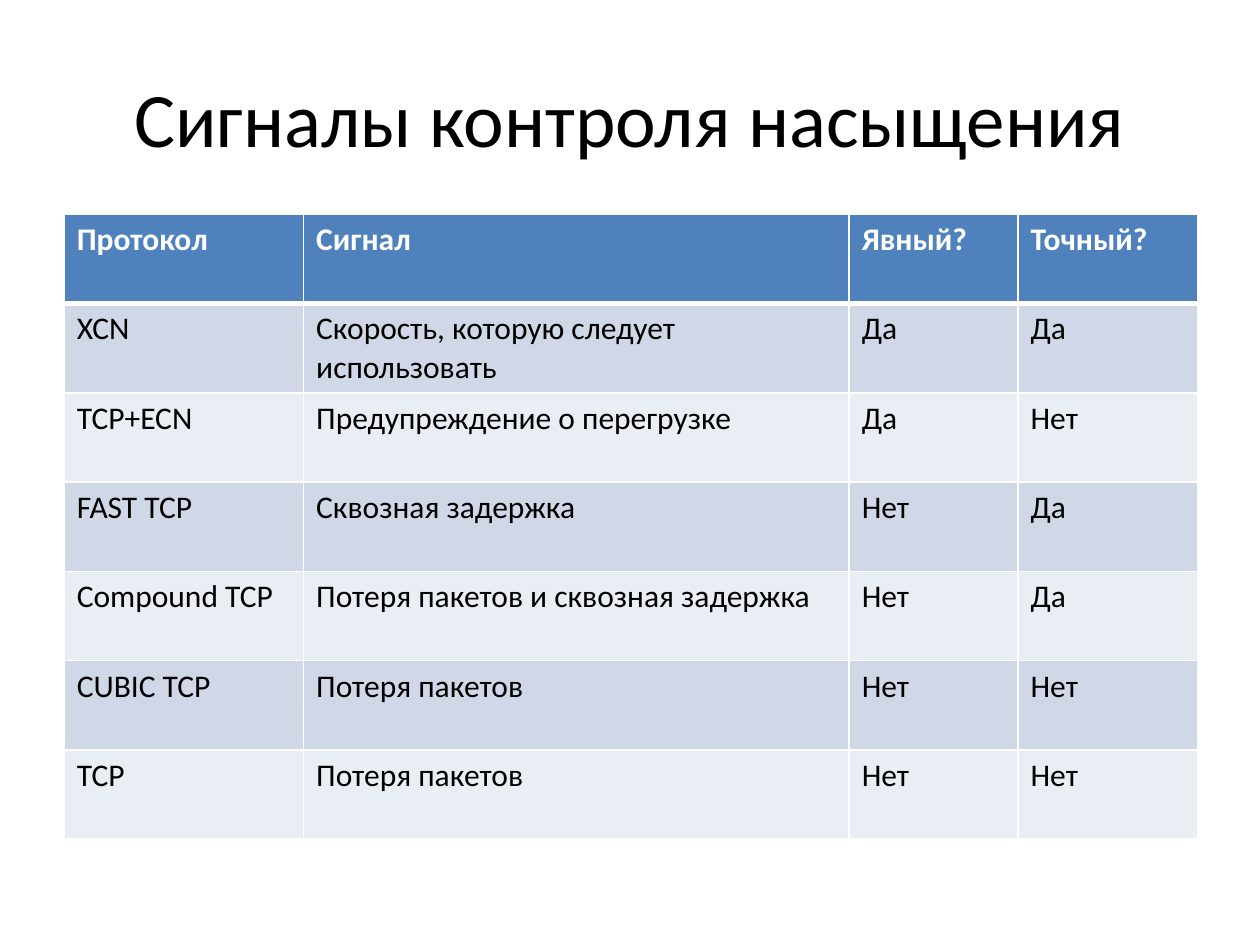
from typing import NamedTuple

from lxml import etree
from pptx import Presentation
from pptx.dml.color import RGBColor
from pptx.enum.text import MSO_ANCHOR, PP_ALIGN
from pptx.oxml.ns import qn
from pptx.util import Inches, Pt

MIDDLE = MSO_ANCHOR.MIDDLE
CENTER = PP_ALIGN.CENTER
FONT = "Calibri"
BLACK = RGBColor(0x00, 0x00, 0x00)
WHITE = RGBColor(0xFF, 0xFF, 0xFF)
BLUE = RGBColor(0x4F, 0x81, 0xBD)
BANDS = (RGBColor(0xE9, 0xED, 0xF4), RGBColor(0xD0, 0xD8, 0xE8))
WIDTHS = (1.9, 4.33, 1.34, 1.43)
HEIGHT = 4.96
THIN, THICK = Pt(1), Pt(3)


class Signal(NamedTuple):
    protocol: str
    signal: str
    explicit: str
    precise: str


ROWS = (
    Signal("Протокол", "Сигнал", "Явный?", "Точный?"),
    Signal("XCN", "Скорость, которую следует использовать", "Да", "Да"),
    Signal("TCP+ECN", "Предупреждение о перегрузке", "Да", "Нет"),
    Signal("FAST TCP", "Сквозная задержка", "Нет", "Да"),
    Signal("Compound TCP", "Потеря пакетов и сквозная задержка", "Нет", "Да"),
    Signal("CUBIC TCP", "Потеря пакетов", "Нет", "Нет"),
    Signal("TCP", "Потеря пакетов", "Нет", "Нет"),
)


def style(para, size: int, color: RGBColor, bold: bool) -> None:
    for run in para.runs:
        font = run.font
        font.name, font.size, font.bold = FONT, Pt(size), bold
        font.color.rgb = color


def add_borders(cell, top: int, bottom: int) -> None:
    """Draw white cell borders; call before the fill is set."""
    props = cell._tc.get_or_add_tcPr()
    sides = {"a:lnL": THIN, "a:lnR": THIN, "a:lnT": top, "a:lnB": bottom}
    for tag, width in sides.items():
        line = etree.SubElement(props, qn(tag), w=str(int(width)))
        fill = etree.SubElement(line, qn("a:solidFill"))
        etree.SubElement(fill, qn("a:srgbClr"), val=str(WHITE))


def add_title(slide, text: str) -> None:
    title = slide.shapes.title
    title.left, title.top = Inches(0.5), Inches(0.3)
    title.width, title.height = Inches(9), Inches(1.25)
    frame = title.text_frame
    frame.text = text
    frame.vertical_anchor = MIDDLE
    para = frame.paragraphs[0]
    para.alignment = CENTER
    style(para, 44, BLACK, False)


def fill_cell(cell, text: str, row: int) -> None:
    head = row == 0
    add_borders(cell, THICK if row == 1 else THIN, THICK if head else THIN)
    cell.fill.solid()
    cell.fill.fore_color.rgb = BLUE if head else BANDS[row % 2]
    cell.text_frame.text = text
    style(cell.text_frame.paragraphs[0], 18, WHITE if head else BLACK, head)


def add_signals(slide, rows: tuple[Signal, ...]) -> None:
    table = slide.shapes.add_table(
        len(rows), len(WIDTHS), Inches(0.51), Inches(1.7),
        Inches(sum(WIDTHS)), Inches(HEIGHT),
    ).table
    for col, width in zip(table.columns, WIDTHS):
        col.width = Inches(width)
    for row, signal in enumerate(rows):
        for col, text in enumerate(signal):
            fill_cell(table.cell(row, col), text, row)


def main() -> None:
    deck = Presentation()
    deck.slide_width, deck.slide_height = Inches(10), Inches(7.5)
    slide = deck.slides.add_slide(deck.slide_layouts.get_by_name("Title Only"))
    add_title(slide, "Сигналы контроля насыщения")
    add_signals(slide, ROWS)
    deck.save("out.pptx")


if __name__ == "__main__":
    main()
